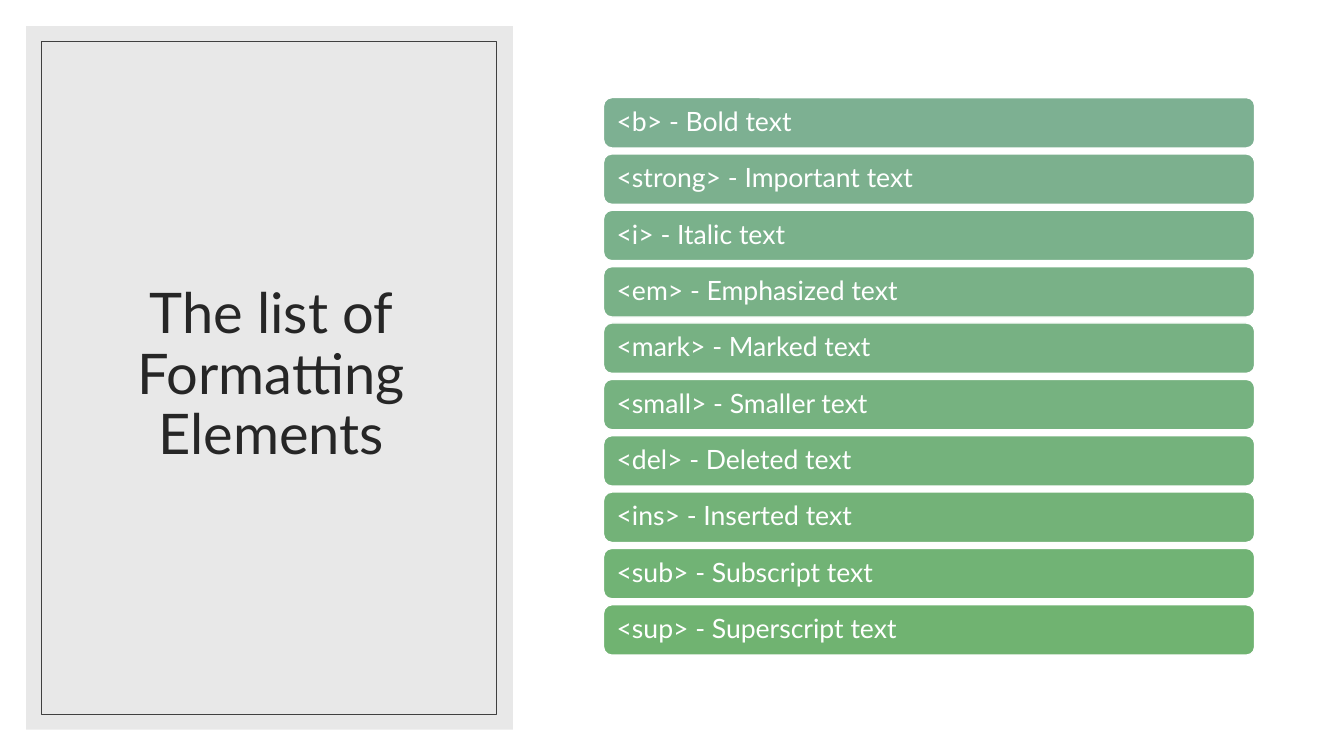
from lxml import etree
from pptx import Presentation
from pptx.dml.color import RGBColor
from pptx.enum import shapes, text
from pptx.oxml import ns
from pptx.util import Cm, Pt

FONT = "Lato"
WHITE = RGBColor(0xFF, 0xFF, 0xFF)
PANEL_GREY = RGBColor(0xD9, 0xD9, 0xD9)
FRAME_GREY = RGBColor(0x40, 0x40, 0x40)
TITLE_GREY = RGBColor(0x26, 0x26, 0x26)
FIRST_GREEN = RGBColor(0x7D, 0xB0, 0x92)
LAST_GREEN = RGBColor(0x70, 0xB3, 0x71)

ELEMENTS = [
    ("b", "Bold"),
    ("strong", "Important"),
    ("i", "Italic"),
    ("em", "Emphasized"),
    ("mark", "Marked"),
    ("small", "Smaller"),
    ("del", "Deleted"),
    ("ins", "Inserted"),
    ("sub", "Subscript"),
    ("sup", "Superscript"),
]
BAR_LEFT, BAR_TOP = 15.21, 2.46
BAR_WIDTH, BAR_HEIGHT, BAR_PITCH = 16.41, 1.27, 1.42


def blend(start, end, share):
    return RGBColor(*(round(a + (b - a) * share) for a, b in zip(start, end)))


def add_box(parent, kind, left, top, width, height, fill=None, line=None, weight=1):
    box = parent.add_shape(kind, Cm(left), Cm(top), Cm(width), Cm(height))
    box.shadow.inherit = False
    if fill is None:
        box.fill.background()
    else:
        box.fill.solid()
        box.fill.fore_color.rgb = fill
    if line is None:
        box.line.fill.background()
    else:
        box.line.color.rgb = line
        box.line.width = Pt(weight)
    return box


def write(shape, words, size, color, align):
    frame = shape.text_frame
    frame.text = words
    frame.word_wrap = True
    frame.auto_size = text.MSO_AUTO_SIZE.NONE
    frame.vertical_anchor = text.MSO_ANCHOR.MIDDLE
    paragraph = frame.paragraphs[0]
    paragraph.alignment = align
    paragraph.line_spacing = 0.9
    font = paragraph.runs[0].font
    font.name, font.size, font.color.rgb = FONT, Pt(size), color


def add_panel(slide):
    panel = add_box(slide.shapes, shapes.MSO_SHAPE.RECTANGLE,
                    0.66, 0.66, 12.27, 17.73, fill=PANEL_GREY)
    # Panel transparency
    tint = panel.fill._xPr.find(".//" + ns.qn("a:srgbClr"))
    etree.SubElement(tint, ns.qn("a:alpha"), val="60000")


def place_title(slide, words):
    title = slide.shapes.title
    title.left, title.top = Cm(1.6), Cm(1.55)
    title.width, title.height = Cm(10.46), Cm(15.85)
    write(title, words, 40, TITLE_GREY, text.PP_ALIGN.CENTER)
    # Bring the title in front of the panel
    slide.shapes._spTree.append(title._element)


def add_element_bars(slide):
    bars = slide.shapes.add_group_shape().shapes
    for row, (tag, meaning) in enumerate(ELEMENTS):
        green = blend(FIRST_GREEN, LAST_GREEN, row / (len(ELEMENTS) - 1))
        bar = add_box(bars, shapes.MSO_SHAPE.ROUNDED_RECTANGLE,
                      BAR_LEFT, BAR_TOP + row * BAR_PITCH, BAR_WIDTH, BAR_HEIGHT,
                      fill=green, line=WHITE)
        write(bar, f"<{tag}> - {meaning} text", 19, WHITE, text.PP_ALIGN.LEFT)
        frame = bar.text_frame
        frame.margin_left = frame.margin_right = Cm(0.27)
        frame.margin_top = frame.margin_bottom = Cm(0.2)


def main():
    deck = Presentation()
    deck.slide_width, deck.slide_height = Cm(33.87), Cm(19.05)
    slide = deck.slides.add_slide(deck.slide_layouts[5])
    slide.background.fill.solid()
    slide.background.fill.fore_color.rgb = WHITE

    # Left side: panel, title and thin frame
    add_panel(slide)
    place_title(slide, "The list of Formatting Elements")
    add_box(slide.shapes, shapes.MSO_SHAPE.RECTANGLE,
            1.04, 1.04, 11.46, 16.97, line=FRAME_GREY, weight=0.5)

    # Right side: one bar per formatting element
    add_element_bars(slide)
    deck.save("out.pptx")


if __name__ == "__main__":
    main()
